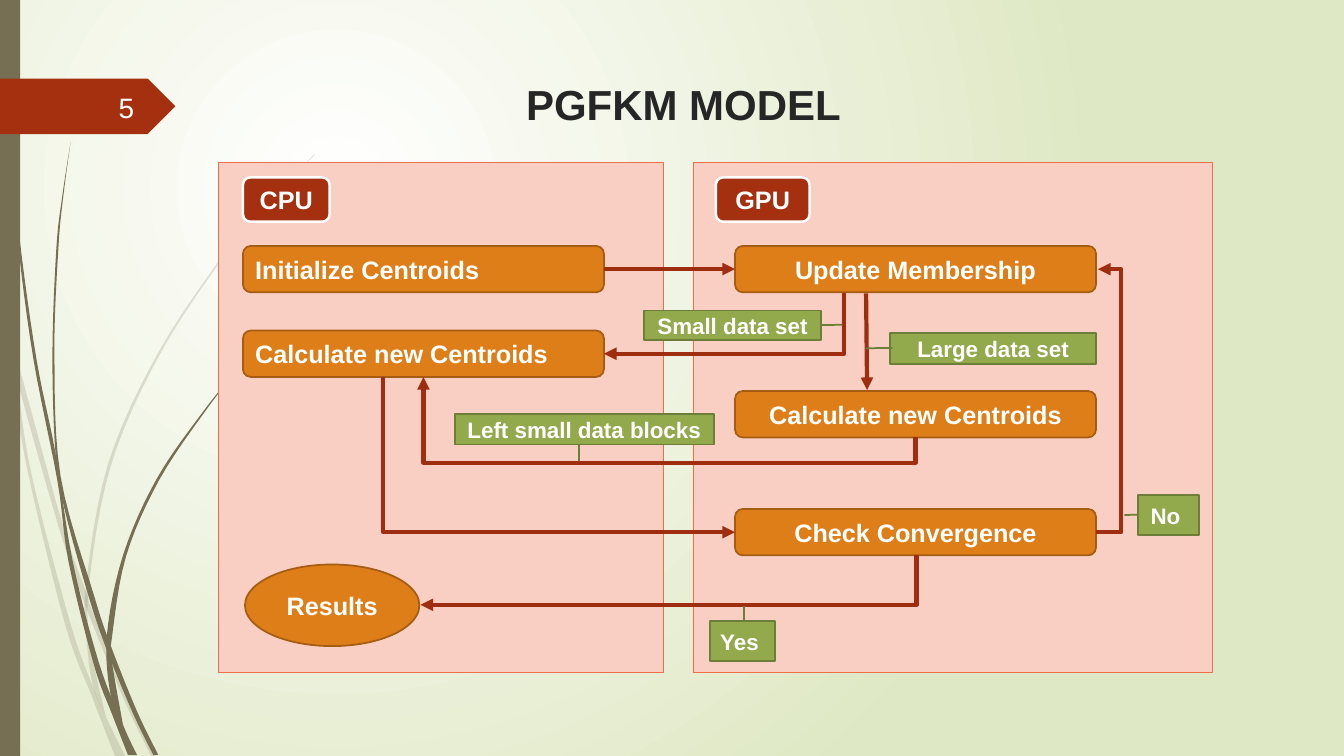
from lxml import etree
from pptx import Presentation
from pptx.dml.color import RGBColor
from pptx.enum.shapes import MSO_CONNECTOR, MSO_SHAPE
from pptx.enum.text import MSO_ANCHOR, PP_ALIGN
from pptx.oxml.ns import qn
from pptx.util import Inches, Pt

RECT, ROUNDED = MSO_SHAPE.RECTANGLE, MSO_SHAPE.ROUNDED_RECTANGLE
OVAL, TAG, CALLOUT = MSO_SHAPE.OVAL, MSO_SHAPE.PENTAGON, MSO_SHAPE.LINE_CALLOUT_1
STRAIGHT, ELBOW = MSO_CONNECTOR.STRAIGHT, MSO_CONNECTOR.ELBOW
LEFT, CENTER, RIGHT = PP_ALIGN.LEFT, PP_ALIGN.CENTER, PP_ALIGN.RIGHT
MIDDLE = MSO_ANCHOR.MIDDLE

FONT = "Arial"
COLORS = {
    "glow": "FFFFFF", "backdrop": "DFE8C4", "stem": "766F54", "title": "262626",
    "panel": "F9CFC3", "panel_edge": "EE6E4B", "step": "DE7E18", "step_edge": "A45D12",
    "badge": "A53010", "flow": "9E2E0F", "note": "92AA4C", "note_edge": "6C7E38",
    "white": "FFFFFF", "number": "FEFFFF",
}

# Grass stems: opacity, then the left and right edge of each blade
STEMS = [
    (20, [(0, 2.99), (0.1, 3.44), (0.15, 3.9), (0.28, 4.7), (0.65, 6.21), (0.92, 6.93),
          (1.14, 7.5)],
     [(0, 2.82), (0.09, 3.22), (0.17, 3.76), (0.31, 4.69), (0.7, 6.19), (0.93, 6.83),
      (1.05, 7.11), (1.24, 7.5)]),
    (20, [(0.14, 3.45), (0.17, 3.76), (0.58, 5.22), (0.84, 5.99), (1.23, 6.94), (1.5, 7.5)],
     [(0.14, 3.45), (0.62, 5.2), (0.85, 5.86), (0.92, 6.07), (1.27, 6.92), (1.55, 7.5)]),
    (20, [(3.12, 1.53), (2.68, 1.97), (2.28, 2.44), (1.58, 3.48), (1.07, 4.61), (0.85, 5.84),
          (0.87, 6.46), (0.93, 6.83), (1.05, 7.11)],
     [(3.12, 1.54), (2.68, 1.98), (2.29, 2.45), (1.6, 3.49), (1.1, 4.62), (0.88, 5.84),
      (0.91, 6.46), (1.05, 7.11)]),
    (100, [(0.03, 0), (0.07, 1.1), (0.17, 2.33), (0.33, 3.55), (0.57, 4.77), (0.68, 5.57),
           (0.93, 6.59), (1.11, 7.08), (1.27, 7.49)],
     [(0.04, 0), (0.08, 1.09), (0.19, 2.32), (0.36, 3.55), (0.55, 4.49), (0.72, 5.56),
      (0.98, 6.57), (1.22, 7.19), (1.36, 7.49)]),
    (100, [(0.7, 1.41), (0.62, 1.93), (0.56, 2.45), (0.52, 3.49), (0.55, 4.49), (0.64, 5.05),
           (0.88, 5.92), (1.06, 6.45), (1.32, 7.08), (1.52, 7.49)],
     [(0.7, 1.41), (0.63, 1.93), (0.58, 2.45), (0.54, 3.49), (0.6, 4.72), (0.93, 5.9),
      (1.1, 6.41), (1.36, 7.06), (1.57, 7.49)]),
    (100, [(2.6, 3.44), (2.31, 3.73), (2.04, 4.05), (1.56, 4.74), (1.22, 5.51), (1.06, 6.31),
           (1.1, 6.91), (1.22, 7.19)],
     [(2.61, 3.44), (2.31, 3.74), (2.05, 4.06), (1.58, 4.76), (1.25, 5.52), (1.11, 6.33),
      (1.11, 6.56), (1.22, 7.19)]),
]

PANEL_TOP, PANEL_HEIGHT = 1.61, 5.06
STEP_WIDTH, STEP_HEIGHT = 3.58, 0.46
CPU_X, GPU_X = 2.41, 7.29
# Panel left and width, then its badge: text, left, width
PROCESSORS = [((2.17, 4.41), ("CPU", 2.41, 0.86)), ((6.88, 5.15), ("GPU", 7.1, 0.93))]
STEPS = [
    ("Initialize Centroids", CPU_X, 2.44, LEFT),
    ("Calculate new Centroids", CPU_X, 3.28, LEFT),
    ("Update Membership", GPU_X, 2.44, CENTER),
    ("Calculate new Centroids", GPU_X, 3.88, CENTER),
    ("Check Convergence", GPU_X, 5.05, CENTER),
]
STRAIGHT_FLOWS = [((5.99, 2.67), (7.29, 2.67)), ((8.59, 2.91), (8.6, 3.87))]
# Start, end, coordinate of the middle leg, whether the first leg is vertical
BENT_FLOWS = [
    ((10.87, 5.28), (10.89, 2.67), 11.12, False),
    ((8.37, 2.91), (5.99, 3.51), 8.37, False),
    ((3.8, 3.74), (7.29, 5.28), 3.8, False),
    ((9.09, 5.51), (4.17, 6), 9.09, False),
    ((9.08, 4.34), (4.2, 3.74), 4.59, True),
]
# Text, box, callout line as y, x, y, x fractions of the box
NOTES = [
    ("Large data set", (8.83, 3.3, 2.04, 0.31), (0.49, 0.01, 0.5, -0.12)),
    ("Small data set", (6.39, 3.08, 1.75, 0.29), (0.5, 1, 0.49, 1.12)),
    ("No ", (11.29, 4.91, 0.6, 0.4), (0.49, 0.01, 0.5, -0.23)),
    ("Yes ", (7.04, 6.16, 0.65, 0.4), (0.02, 0.52, -0.36, 0.52)),
    ("Left small data blocks ", (4.51, 4.11, 2.57, 0.3), (1, 0.48, 1.56, 0.48)),
]

prs = Presentation()
prs.slide_width, prs.slide_height = Inches(13.33), Inches(7.5)
slide = prs.slides.add_slide(prs.slide_layouts[6])


def rgb(name):
    """Return a named colour."""
    return RGBColor.from_string(COLORS[name])


def paint(shape, fill, edge=None, width=1.25):
    """Give a shape its fill and outline, without shadow."""
    shape.shadow.inherit = False
    shape.fill.solid()
    shape.fill.fore_color.rgb = rgb(fill)
    if edge:
        shape.line.color.rgb = rgb(edge)
        shape.line.width = Pt(width)
    else:
        shape.line.fill.background()


def write(shape, text, size, color="white", bold=True, align=CENTER):
    """Put one line of formatted text in a shape."""
    frame = shape.text_frame
    frame.text = text
    frame.word_wrap = True
    frame.vertical_anchor = MIDDLE
    line = frame.paragraphs[0]
    line.alignment = align
    font = line.runs[0].font
    font.name, font.size, font.bold = FONT, Pt(size), bold
    font.color.rgb = rgb(color)


def add_box(kind, box, fill, edge=None, width=1.25):
    """Add a painted preset shape."""
    shape = slide.shapes.add_shape(kind, *map(Inches, box))
    paint(shape, fill, edge, width)
    return shape


def add_text(box, text, size, **style):
    """Add a text box."""
    write(slide.shapes.add_textbox(*map(Inches, box)), text, size, **style)


def smooth_curve(points, steps=6):
    """Return points on a Catmull-Rom curve through the given points."""
    padded = [points[0], *points, points[-1]]
    curve = [points[0]]
    for a, b, c, d in zip(padded, padded[1:], padded[2:], padded[3:]):
        for t in (i / steps for i in range(1, steps + 1)):
            curve.append(tuple(
                q + t / 2 * (r - p + t * (2 * p - 5 * q + 4 * r - s + t * (3 * (q - r) + s - p)))
                for p, q, r, s in zip(a, b, c, d)))
    return curve


def add_stem(opacity, left_edge, right_edge):
    """Draw one grass blade between its two edges."""
    outline = smooth_curve(left_edge) + smooth_curve(right_edge)[::-1]
    points = [(Inches(x), Inches(y)) for x, y in outline]
    builder = slide.shapes.build_freeform(*points[0])
    builder.add_line_segments(points[1:])
    stem = builder.convert_to_shape()
    paint(stem, "stem")
    if opacity < 100:
        tint = stem._element.spPr.find(qn("a:solidFill"))[0]
        etree.SubElement(tint, qn("a:alpha")).set("val", str(opacity * 1000))


def add_flow(kind, start, end):
    """Add an arrow from start to end."""
    flow = slide.shapes.add_connector(kind, *map(Inches, (*start, *end)))
    flow.line.color.rgb = rgb("flow")
    flow.line.width = Pt(3)
    etree.SubElement(flow.line._get_or_add_ln(), qn("a:tailEnd")).set("type", "triangle")
    etree.SubElement(flow._element.spPr, qn("a:effectLst"))
    return flow


def add_bent_flow(start, end, bend, vertical):
    """Add an elbow arrow; a vertical first leg needs a quarter turn."""
    axis = int(vertical)
    share = (bend - start[axis]) / (end[axis] - start[axis])
    if vertical:
        cx, cy = ((a + b) / 2 for a, b in zip(start, end))
        start, end = ((cx + y - cy, cy - x + cx) for x, y in (start, end))
    properties = add_flow(ELBOW, start, end)._element.spPr
    if vertical:
        properties.find(qn("a:xfrm")).set("rot", str(90 * 60000))
    guides = properties.find(qn("a:prstGeom")).get_or_add_avLst()
    guide = etree.SubElement(guides, qn("a:gd"))
    guide.set("name", "adj1")
    guide.set("fmla", f"val {round(share * 100000)}")


backdrop = slide.background.fill
backdrop.gradient()
for stop, color in zip(backdrop.gradient_stops, ("glow", "backdrop")):
    stop.color.rgb = rgb(color)
for stop, position in zip(backdrop.gradient_stops, (0, 1)):
    stop.position = position
gradient = slide._element.xpath(".//p:bg//a:gradFill")[0]
gradient.remove(gradient.find(qn("a:lin")))
radial = etree.SubElement(gradient, qn("a:path"))
radial.set("path", "circle")
center = etree.SubElement(radial, qn("a:fillToRect"))
for side, inset in zip("ltrb", (50, 50, 100, 100)):
    center.set(side, str(inset * 1000))

for stem in STEMS:
    add_stem(*stem)
add_box(RECT, (0, 0, 0.2, 7.5), "stem")
add_box(TAG, (0, 0.78, 1.74, 0.55), "badge")
add_text((0.58, 0.86, 0.85, 0.4), "5", 20, color="number", bold=False, align=RIGHT)
add_text((1.75, 0.71, 10.06, 0.63), "PGFKM MODEL", 30, color="title")

for (left, width), (name, badge_left, badge_width) in PROCESSORS:
    add_box(RECT, (left, PANEL_TOP, width, PANEL_HEIGHT), "panel", "panel_edge", 0.75)
    badge = add_box(ROUNDED, (badge_left, 1.76, badge_width, 0.44), "badge", "white", 1.75)
    write(badge, name, 18)
for text, left, top, align in STEPS:
    step = add_box(ROUNDED, (left, top, STEP_WIDTH, STEP_HEIGHT), "step", "step_edge")
    write(step, text, 18, align=align)
write(add_box(OVAL, (2.43, 5.6, 1.73, 0.81), "step", "step_edge"), "Results", 18)

for start, end in STRAIGHT_FLOWS:
    add_flow(STRAIGHT, start, end)
for flow in BENT_FLOWS:
    add_bent_flow(*flow)
for text, box, pointer in NOTES:
    note = add_box(CALLOUT, box, "note", "note_edge")
    for index, value in enumerate(pointer):
        note.adjustments[index] = value
    write(note, text, 16)

prs.save("out.pptx")
